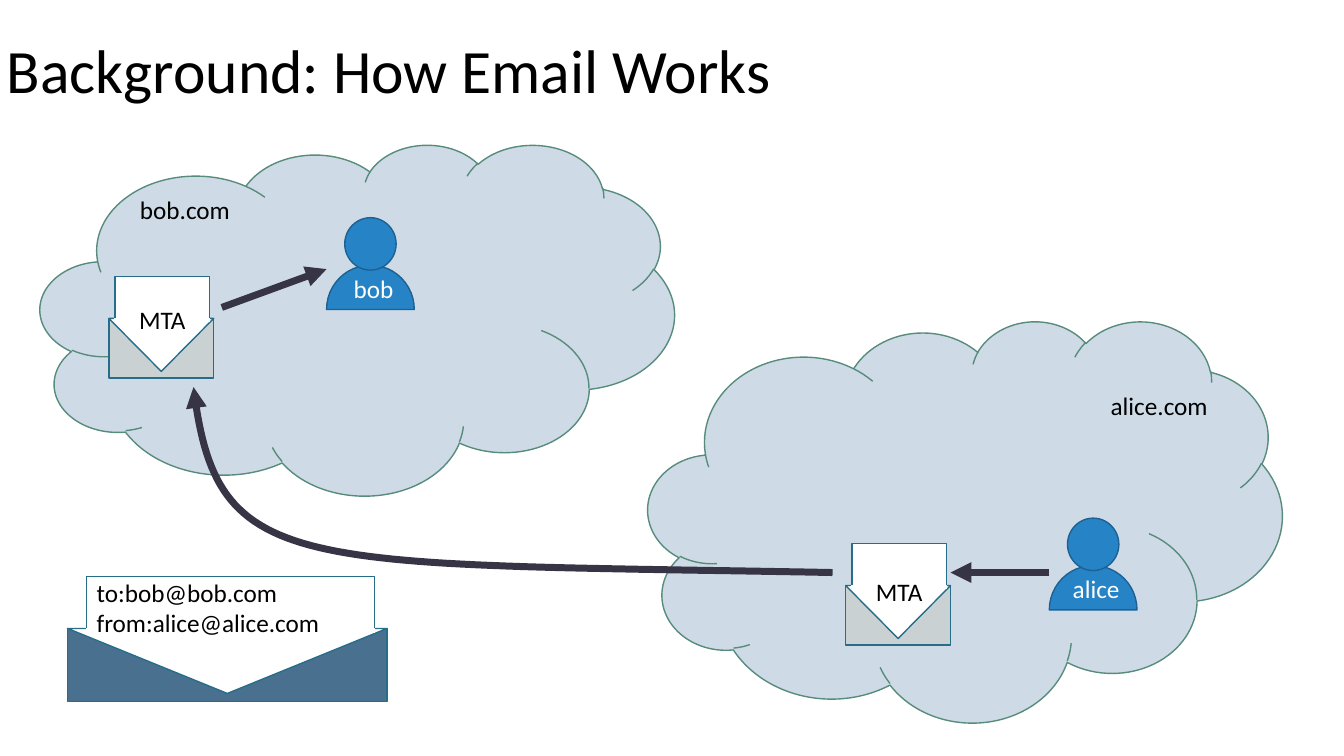
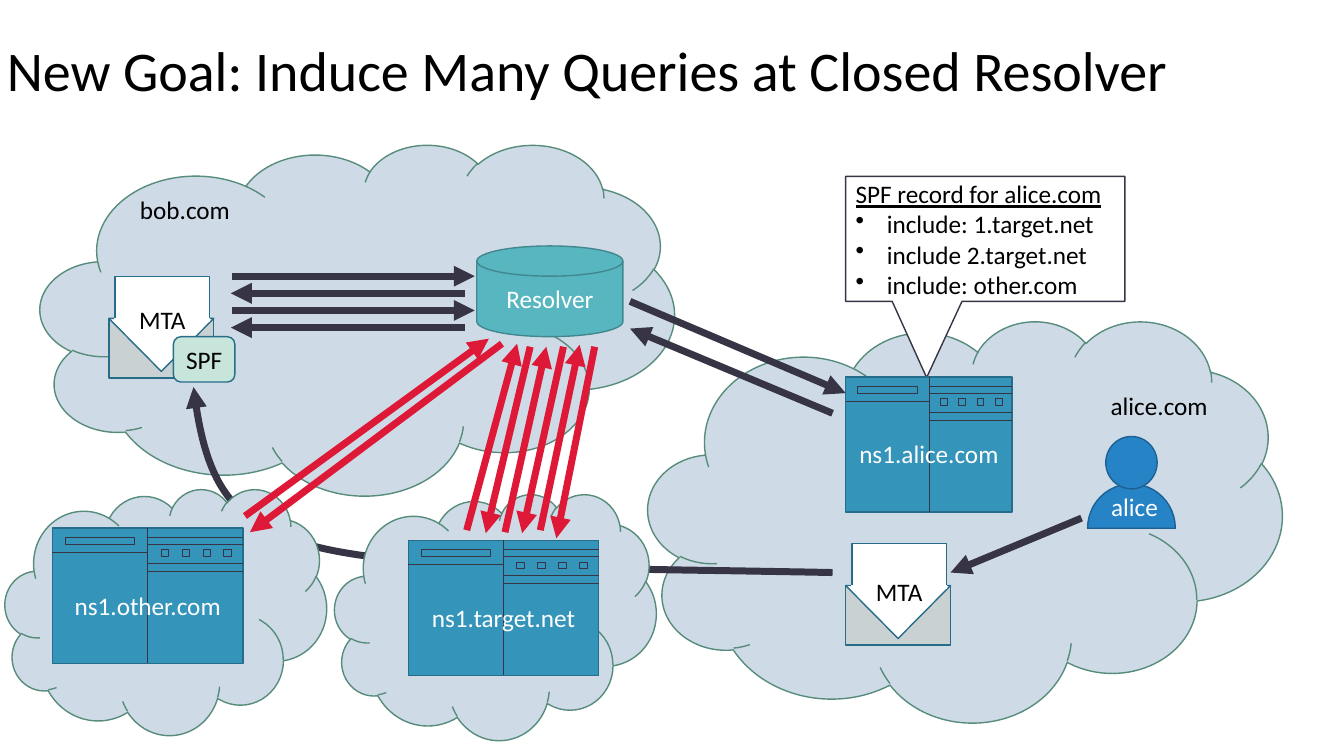
from dataclasses import dataclass
from typing import NamedTuple

from lxml import etree
from pptx import Presentation
from pptx.dml.color import RGBColor
from pptx.enum import shapes, text
from pptx.oxml import ns
from pptx.util import Emu, Length, Pt

# Slide grid: 40/3 columns by 7.5 rows of square cells
COLUMNS, ROWS = 40 / 3, 7.5
SLIDE_WIDTH, SLIDE_HEIGHT = Emu(12192000), Emu(6858000)
Shape = shapes.MSO_SHAPE
Align = text.PP_ALIGN
Anchor = text.MSO_ANCHOR


@dataclass(frozen=True)
class Theme:
    font: str = "Calibri"
    title: int = 44
    long_title: int = 40
    body: int = 18
    thin: float = 0.5
    outline: float = 1
    arrow: float = 5
    black: str = "000000"
    white: str = "FFFFFF"
    dark: str = "373545"
    attack: str = "DE1938"
    cloud: str = "CEDBE6"
    cloud_line: str = "578C7C"
    edge: str = "266D8A"
    mail: str = "CAD1D2"
    message: str = "4A7090"
    person: str = "2683C6"
    person_line: str = "1C6192"
    server: str = "3494BA"
    resolver: str = "58B6C0"
    resolver_line: str = "41878E"
    spf: str = "C8E5DC"


THEME = Theme()


class Point(NamedTuple):
    column: float
    row: float


class Box(NamedTuple):
    column: float
    row: float
    width: float
    height: float

    def inner(self, left: float, top: float, width: float, height: float) -> "Box":
        """Return a box given as shares of this one."""
        return Box(self.column + left * self.width, self.row + top * self.height,
                   width * self.width, height * self.height)

    def point(self, left: float, top: float) -> Point:
        return Point(self.column + left * self.width, self.row + top * self.height)


class Arrow(NamedTuple):
    start: Point
    end: Point


class Envelope(NamedTuple):
    box: Box
    label: str
    label_drop: float
    fill: str = THEME.mail
    align: Align = Align.CENTER


class Person(NamedTuple):
    name: str
    column: float
    row: float


class Server(NamedTuple):
    name: str
    box: Box


def across(columns: float) -> Length:
    return Emu(round(SLIDE_WIDTH * columns / COLUMNS))


def down(rows: float) -> Length:
    return Emu(round(SLIDE_HEIGHT * rows / ROWS))


def place(box: Box) -> tuple:
    return across(box.column), down(box.row), across(box.width), down(box.height)


# Basic elements
def add_text(frame, content: str, *, size: float = THEME.body, color: str = THEME.black,
             align: Align = Align.LEFT, anchor: Anchor = Anchor.TOP, spacing: float = 1,
             underline: bool = False, bullet: bool = False) -> None:
    """Append one paragraph for each line of content."""
    frame.word_wrap = True
    frame.vertical_anchor = anchor
    for line in content.split("\n"):
        paragraph = frame.paragraphs[0] if not frame.text else frame.add_paragraph()
        paragraph.alignment = align
        paragraph.line_spacing = spacing
        run = paragraph.add_run()
        run.text = line
        run.font.name, run.font.size = THEME.font, Pt(size)
        run.font.underline = underline
        run.font.color.rgb = RGBColor.from_string(color)
        if bullet:
            properties = paragraph._p.get_or_add_pPr()
            properties.set("marL", str(across(0.31)))
            properties.set("indent", str(-across(0.31)))
            etree.SubElement(properties, ns.qn("a:buChar")).set("char", "•")


def add_label(canvas, box: Box, content: str, **style) -> None:
    add_text(canvas.add_textbox(*place(box)).text_frame, content, **style)


def add_block(canvas, kind: Shape, box: Box, fill: str, line: str, *,
              weight: float = THEME.outline, rotation: float = 0,
              adjustments: tuple = ()):
    shape = canvas.add_shape(kind, *place(box))
    shape.shadow.inherit = False
    shape.fill.solid()
    shape.fill.fore_color.rgb = RGBColor.from_string(fill)
    shape.line.color.rgb = RGBColor.from_string(line)
    shape.line.width = Pt(weight)
    shape.rotation = rotation
    for index, value in enumerate(adjustments):
        shape.adjustments[index] = value
    return shape


def style_line(shape, color: str, weight: float, arrowhead: bool) -> None:
    shape.line.color.rgb = RGBColor.from_string(color)
    shape.line.width = Pt(weight)
    if arrowhead:
        outline = shape.element.spPr.find(ns.qn("a:ln"))
        etree.SubElement(outline, ns.qn("a:tailEnd")).set("type", "triangle")


def add_line(canvas, start: Point, end: Point, *, color: str = THEME.dark,
             weight: float = THEME.arrow, arrowhead: bool = True) -> None:
    connector = canvas.add_connector(
        shapes.MSO_CONNECTOR.STRAIGHT, across(start.column), down(start.row),
        across(end.column), down(end.row))
    style_line(connector, color, weight, arrowhead)
    etree.SubElement(connector.element.spPr, ns.qn("a:effectLst"))


def add_curve(canvas, controls: tuple, steps: int = 60) -> None:
    """Draw a cubic curve with an arrowhead at its end."""
    def at(share: float) -> tuple:
        rest = 1 - share
        weights = (rest ** 3, 3 * rest ** 2 * share, 3 * rest * share ** 2, share ** 3)
        column, row = (sum(weight * value for weight, value in zip(weights, values))
                       for values in zip(*controls))
        return across(column), down(row)

    builder = canvas.build_freeform(*at(0))
    builder.add_line_segments([at(step / steps) for step in range(1, steps + 1)], close=False)
    curve = builder.convert_to_shape()
    curve.shadow.inherit = False
    curve.fill.background()
    style_line(curve, THEME.dark, THEME.arrow, True)


# Drawn objects
def draw_cloud(canvas, box: Box) -> None:
    add_block(canvas, Shape.CLOUD, box, THEME.cloud, THEME.cloud_line)


def draw_envelope(canvas, envelope: Envelope) -> None:
    group = canvas.add_group_shape().shapes
    box = envelope.box
    add_block(group, Shape.RECTANGLE, box.inner(0, 0.415, 1, 0.585), envelope.fill, THEME.edge)
    add_block(group, Shape.ISOSCELES_TRIANGLE, box.inner(0, 0.415, 1, 0.52),
              THEME.white, THEME.edge, rotation=180)
    add_block(group, Shape.RECTANGLE, box.inner(0.06, 0, 0.9, 0.44), THEME.white, THEME.edge)
    add_block(group, Shape.RECTANGLE, box.inner(0.06, 0.415, 0.9, 0.03),
              THEME.white, THEME.white)
    label = box.inner(0.06, 0, 0.9, 0.4)
    add_label(group, label._replace(row=box.row + envelope.label_drop),
              envelope.label, align=envelope.align)


def draw_person(canvas, person: Person) -> None:
    group = canvas.add_group_shape().shapes
    name, column, row = person
    add_block(group, Shape.PIE, Box(column, row + 0.47, 0.87, 0.88), THEME.person,
              THEME.person_line, rotation=180, adjustments=(0, 108))
    add_block(group, Shape.OVAL, Box(column + 0.18, row, 0.51, 0.52),
              THEME.person, THEME.person_line)
    add_label(group, Box(column - 0.05, row + 0.5, 1.03, 0.4), name,
              color=THEME.white, align=Align.CENTER)


def draw_server(canvas, server: Server) -> None:
    group = canvas.add_group_shape().shapes
    box = server.box
    add_block(group, Shape.RECTANGLE, box, THEME.server, THEME.edge)
    seams = [((0.5, 0), (0.5, 1)), ((0, 0.18), (0.5, 0.18))]
    seams += [((0.5, row), (1, row)) for row in (0.07, 0.12, 0.26, 0.32)]
    for start, end in seams:
        add_line(group, box.point(*start), box.point(*end),
                 weight=THEME.thin, arrowhead=False)
    slot = box.inner(0.07, 0.07, 0.36, 0.05)
    lights = [box.inner(0.57 + 0.11 * index, 0.16, 0.04, 0.05) for index in range(4)]
    for detail in (slot, *lights):
        add_block(group, Shape.RECTANGLE, detail, THEME.server, THEME.dark, weight=THEME.thin)
    add_label(group, box.inner(0, 0.42, 1, 0.3), server.name,
              color=THEME.white, align=Align.CENTER)


# Shared scene: title, two domains and the mail route between them
BOB_CLOUD = Box(0.4, 1.43, 6.29, 3.48)
ALICE_CLOUD = Box(6.43, 3.18, 6.29, 3.98)
BOB_MTA = Envelope(Box(1.08, 2.74, 1.04, 1.01), "MTA", 0.23)
ALICE_MTA = Envelope(Box(8.39, 5.39, 1.04, 1.01), "MTA", 0.28)
MAIL_ROUTE = (Point(8.26, 5.68), Point(2.89, 5.58), Point(2.15, 5.73), Point(1.92, 3.84))
ALICE_MTA_INLET = Point(9.43, 5.68)


def add_scene(presentation, title: str, title_size: float):
    slide = presentation.slides.add_slide(presentation.slide_layouts[6])
    canvas = slide.shapes
    add_label(canvas, Box(-0.03, 0, 12.42, 1.45), title, size=title_size,
              anchor=Anchor.MIDDLE, spacing=0.9)
    for cloud in (BOB_CLOUD, ALICE_CLOUD):
        draw_cloud(canvas, cloud)
    add_label(canvas, Box(1.29, 1.88, 1.68, 0.4), "bob.com")
    add_label(canvas, Box(10.92, 3.82, 1.68, 0.4), "alice.com")
    add_curve(canvas, MAIL_ROUTE)
    for envelope in (BOB_MTA, ALICE_MTA):
        draw_envelope(canvas, envelope)
    return canvas


def build_email_slide(presentation) -> None:
    canvas = add_scene(presentation, "Background: How Email Works", THEME.title)
    draw_envelope(canvas, Envelope(Box(0.67, 5.72, 3.17, 1.24),
                                   "to:bob@bob.com\nfrom:alice@alice.com", -0.04,
                                   THEME.message, Align.LEFT))
    for person in (Person("bob", 3.24, 2.16), Person("alice", 10.41, 5.14)):
        draw_person(canvas, person)
    add_line(canvas, Point(2.2, 3.05), Point(3.24, 2.67))
    add_line(canvas, Point(10.41, 5.68), ALICE_MTA_INLET)


ATTACK_ARROWS = [Arrow(Point(*start), Point(*end)) for start, end in (
    ((5.9, 3.44), (5.52, 5.34)), ((5.36, 5.26), (5.75, 3.42)),
    ((5.59, 3.44), (5.18, 5.29)), ((5.01, 5.28), (5.42, 3.44)),
    ((5.26, 3.44), (4.82, 5.29)), ((4.63, 5.26), (5.13, 3.41)),
    ((4.98, 3.41), (2.48, 5.28)), ((2.43, 5.12), (4.85, 3.36)))]


def build_resolver_slide(presentation) -> None:
    canvas = add_scene(presentation, "New Goal: Induce Many Queries at Closed Resolver",
                       THEME.long_title)
    draw_person(canvas, Person("alice", 10.79, 4.33))
    add_line(canvas, Point(10.73, 5.14), ALICE_MTA_INLET)

    # Resolver and the outside domains
    resolver = add_block(canvas, Shape.FLOWCHART_MAGNETIC_DISK, Box(4.73, 2.44, 1.45, 0.9),
                         THEME.resolver, THEME.resolver_line)
    add_text(resolver.text_frame, "Resolver", color=THEME.white,
             align=Align.CENTER, anchor=Anchor.MIDDLE)
    for corner in (Point(0.05, 4.85), Point(3.32, 4.9)):
        draw_cloud(canvas, Box(*corner, 3.19, 2.44))
    for arrow in ATTACK_ARROWS:
        add_line(canvas, arrow.start, arrow.end, color=THEME.attack)

    # SPF record and name servers
    record = add_block(canvas, Shape.RECTANGULAR_CALLOUT, Box(8.39, 1.75, 2.77, 1.24),
                       THEME.white, THEME.dark, adjustments=(-0.21, 1.11))
    add_text(record.text_frame, "SPF record for alice.com", anchor=Anchor.MIDDLE,
             underline=True)
    add_text(record.text_frame, "include: 1.target.net\ninclude 2.target.net\n"
             "include: other.com", anchor=Anchor.MIDDLE, bullet=True)
    for server in (Server("ns1.target.net", Box(4.05, 5.36, 1.89, 1.34)),
                   Server("ns1.other.com", Box(0.52, 5.24, 1.89, 1.34)),
                   Server("ns1.alice.com", Box(8.39, 3.74, 1.65, 1.34))):
        draw_server(canvas, server)

    # Queries and answers
    add_line(canvas, Point(6.25, 2.99), Point(8.39, 3.9))
    add_line(canvas, Point(8.26, 4.1), Point(6.25, 3.26))
    for index in range(4):
        start, end = ((2.3, 4.71), (4.61, 2.29))[index % 2]
        row = 2.74 + 0.17 * index
        add_line(canvas, Point(start, row), Point(end, row))
    check = add_block(canvas, Shape.ROUNDED_RECTANGLE, Box(1.72, 3.34, 0.61, 0.45),
                      THEME.spf, THEME.edge)
    add_text(check.text_frame, "SPF", align=Align.CENTER, anchor=Anchor.MIDDLE)


def main() -> None:
    presentation = Presentation()
    presentation.slide_width, presentation.slide_height = SLIDE_WIDTH, SLIDE_HEIGHT
    build_email_slide(presentation)
    build_resolver_slide(presentation)
    presentation.save("out.pptx")


if __name__ == "__main__":
    main()
